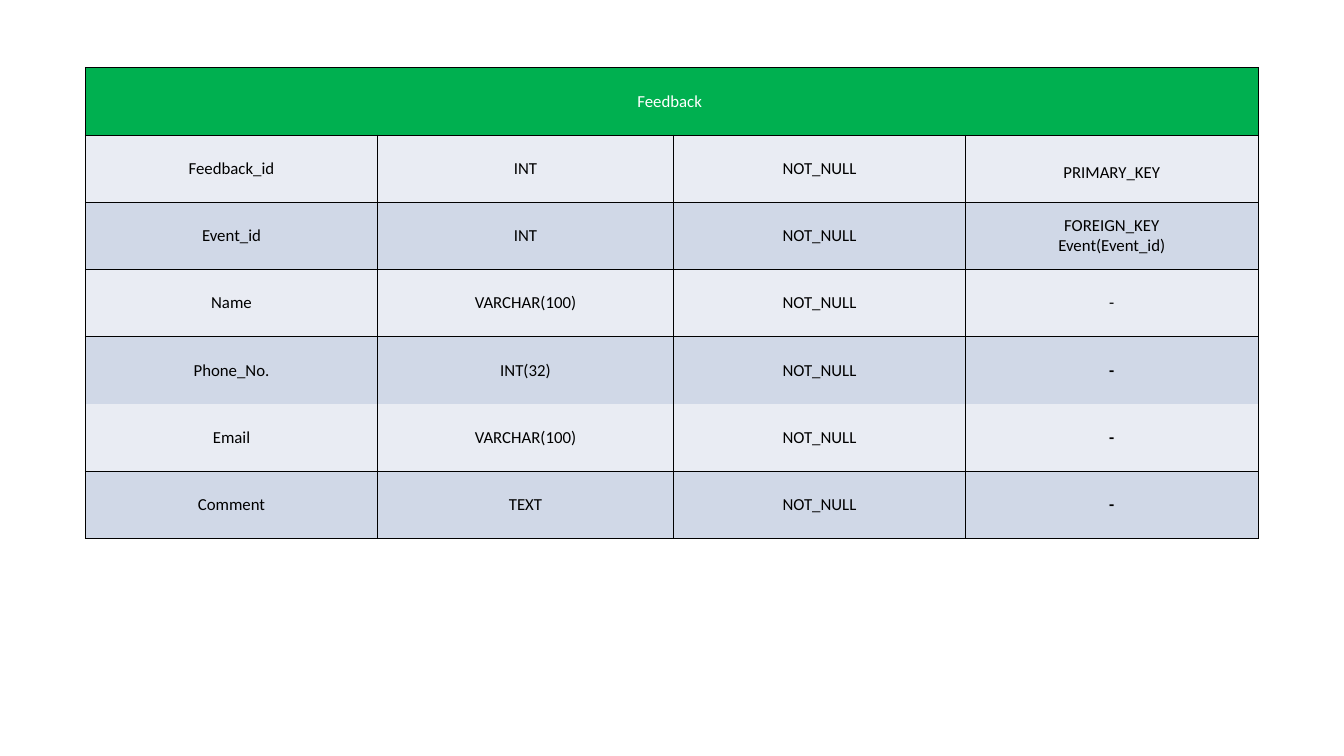
from dataclasses import dataclass

from lxml.etree import SubElement
from pptx import Presentation
from pptx.dml.color import RGBColor
from pptx.enum.text import MSO_ANCHOR, PP_ALIGN
from pptx.oxml.ns import qn
from pptx.util import Inches, Pt


@dataclass(frozen=True)
class Theme:
    font: str = "Calibri"
    text_size: float = 18
    border_width: float = 0.96
    border: str = "000000"
    text: str = "000000"
    header_text: str = "FFFFFF"
    header_fill: str = "00B050"
    bands: tuple = ("E9ECF3", "D0D8E7")


SLIDE_WIDTH, SLIDE_HEIGHT = 20, 11.25
TABLE_LEFT, TABLE_TOP = 1.27, 1.01
COLUMN_WIDTHS = (4.35, 4.4, 4.35, 4.35)
ROW_HEIGHT = 1

TABLE_NAME = "Feedback "
FIELDS = (
    ("Feedback_id", "INT", "NOT_NULL", "PRIMARY_KEY"),
    ("Event_id", "INT", "NOT_NULL", "FOREIGN_KEY\nEvent(Event_id)"),
    ("Name", "VARCHAR(100)", "NOT_NULL", "-"),
    ("Phone_No.", "INT(32)", "NOT_NULL", "-"),
    ("Email", "VARCHAR(100)", "NOT_NULL", "-"),
    ("Comment", "TEXT", "NOT_NULL", "-"),
)
PHONE_ROW, EMAIL_ROW = 4, 5


def write_text(cell, text, *, font, size, color, bold=False,
               anchor=MSO_ANCHOR.MIDDLE, bottom=0):
    cell.margin_left = cell.margin_right = cell.margin_top = 0
    cell.margin_bottom = Inches(bottom)
    cell.vertical_anchor = anchor
    cell.text = text
    for paragraph in cell.text_frame.paragraphs:
        paragraph.alignment = PP_ALIGN.CENTER
        paragraph.font.size = Pt(size)
        for run in paragraph.runs:
            run.font.name = font
            run.font.size = Pt(size)
            run.font.bold = bold
            run.font.color.rgb = RGBColor.from_string(color)


class SlideBuilder:
    def __init__(self, slide, theme):
        self.slide = slide
        self.theme = theme

    def table(self, left, top, column_widths, row_height, row_count):
        frame = self.slide.shapes.add_table(
            row_count, len(column_widths), Inches(left), Inches(top),
            Inches(sum(column_widths)), Inches(row_height * row_count))
        table = frame.table
        table.first_row = table.horz_banding = False
        for column, width in zip(table.columns, column_widths):
            column.width = Inches(width)
        for row in table.rows:
            row.height = Inches(row_height)
        return table

    def cell(self, cell, text, fill, color, open_sides="", **text_format):
        write_text(cell, text, font=self.theme.font,
                   size=self.theme.text_size, color=color, **text_format)
        self.borders(cell, open_sides)
        cell.fill.solid()
        cell.fill.fore_color.rgb = RGBColor.from_string(fill)

    def borders(self, cell, open_sides):
        properties = cell._tc.get_or_add_tcPr()
        for side in "LRTB":
            line = SubElement(properties, qn(f"a:ln{side}"),
                              w=str(Pt(self.theme.border_width)))
            if side in open_sides:
                SubElement(line, qn("a:noFill"))
            else:
                fill = SubElement(line, qn("a:solidFill"))
                SubElement(fill, qn("a:srgbClr"), val=self.theme.border)

    def schema_table(self, name, fields):
        theme = self.theme
        table = self.table(TABLE_LEFT, TABLE_TOP, COLUMN_WIDTHS,
                           ROW_HEIGHT, len(fields) + 1)
        for column in range(len(COLUMN_WIDTHS)):
            self.cell(table.cell(0, column), "" if column else name,
                      theme.header_fill, theme.header_text)
        table.cell(0, 0).merge(table.cell(0, len(COLUMN_WIDTHS) - 1))

        open_sides = {PHONE_ROW: "B", EMAIL_ROW: "T"}
        for row, field in enumerate(fields, start=1):
            for column, text in enumerate(field):
                text_format = {"bold": text == "-" and row >= PHONE_ROW}
                if text == "PRIMARY_KEY":
                    text_format.update(anchor=MSO_ANCHOR.BOTTOM, bottom=0.28)
                self.cell(table.cell(row, column), text,
                          theme.bands[(row - 1) % 2], theme.text,
                          open_sides.get(row, ""), **text_format)


def main():
    presentation = Presentation()
    presentation.slide_width = Inches(SLIDE_WIDTH)
    presentation.slide_height = Inches(SLIDE_HEIGHT)
    slide = presentation.slides.add_slide(presentation.slide_layouts[6])
    SlideBuilder(slide, Theme()).schema_table(TABLE_NAME, FIELDS)
    presentation.save("out.pptx")


if __name__ == "__main__":
    main()
